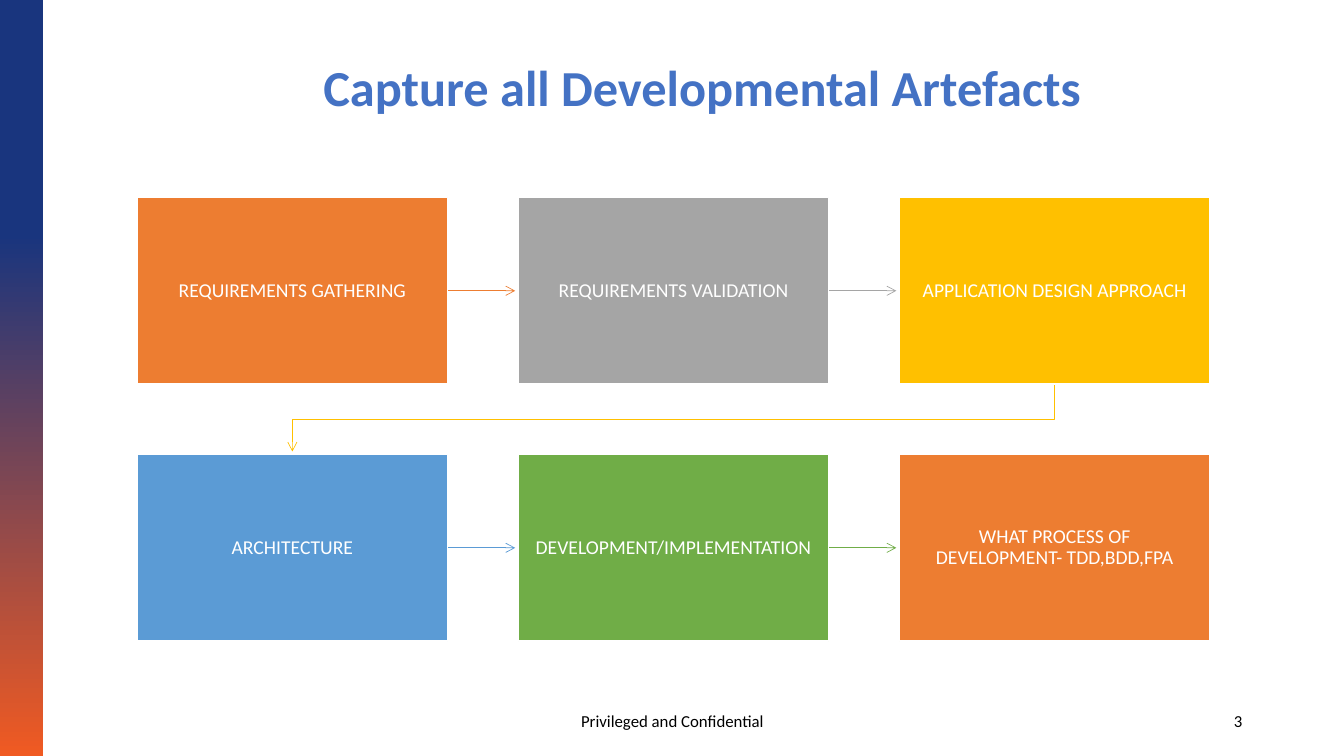
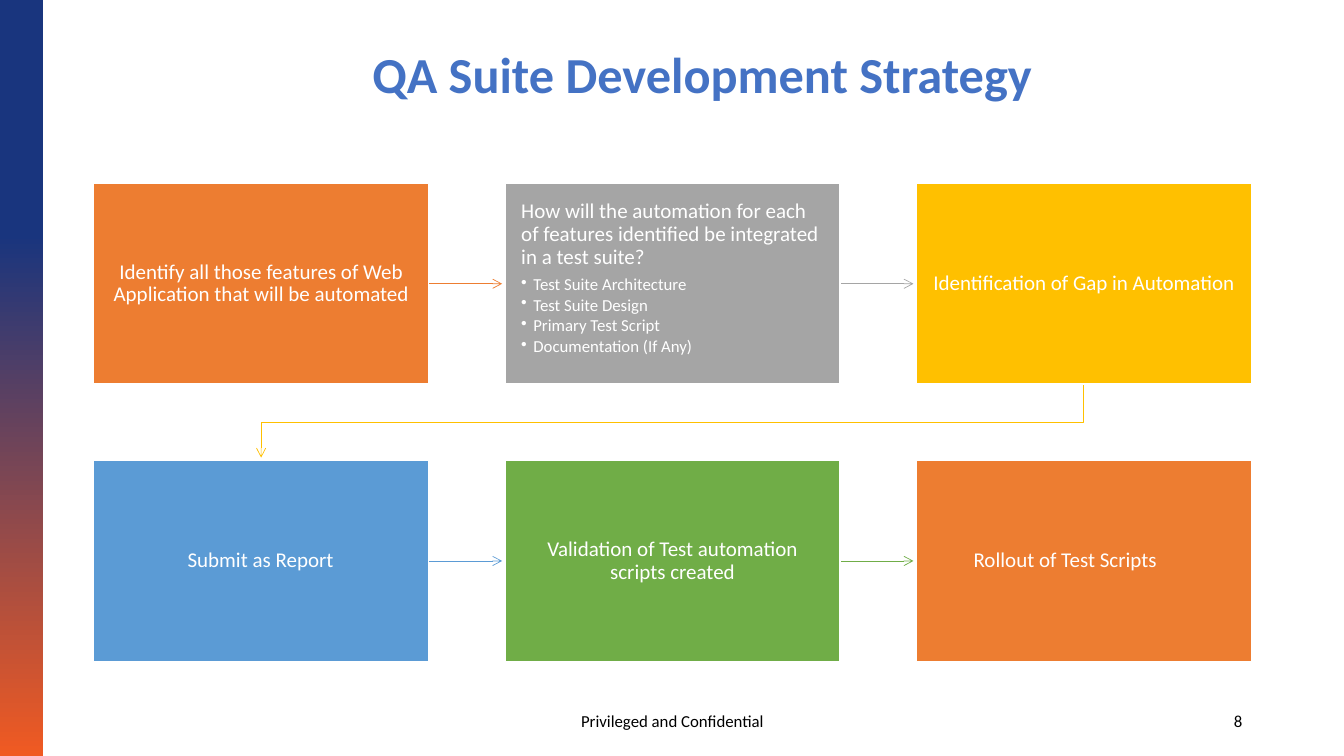
from dataclasses import dataclass

import pptx
import pptx.dml.color
import pptx.enum.shapes
import pptx.enum.text
import pptx.oxml.ns
import pptx.util
from lxml import etree
from pptx.util import Inches

# Shared look
FONT = "Calibri"
WHITE, BLACK, TITLE_BLUE = "FFFFFF", "000000", "4472C4"
BAND_TOP, BAND_BOTTOM = "19357E", "F05A22"
STEP_COLOURS = ["ED7D31", "A5A5A5", "FFC000", "5B9BD5", "70AD47", "ED7D31"]
FOOTER = "Privileged and Confidential"
COLUMNS = 3
ARROW_CLEARANCE = 0.03
TAB_WIDTH = 0.73

ALIGN = pptx.enum.text.PP_ALIGN
ANCHOR = pptx.enum.text.MSO_ANCHOR
RECTANGLE = pptx.enum.shapes.MSO_SHAPE.RECTANGLE
STRAIGHT = pptx.enum.shapes.MSO_CONNECTOR.STRAIGHT
qn = pptx.oxml.ns.qn


@dataclass
class Step:
    text: str
    bullets: tuple[str, ...] = ()


@dataclass
class Flow:
    """A three-column grid of boxes, read row by row."""
    left: float
    top: float
    width: float
    height: float
    gap: float
    size: float
    inset: float
    steps: list[Step]

    def corner(self, index: int) -> tuple[float, float]:
        row, column = divmod(index, COLUMNS)
        return (self.left + column * (self.width + self.gap),
                self.top + row * (self.height + self.gap))


@dataclass
class Page:
    title: str
    title_top: float
    title_height: float
    number: str
    flow: Flow


def rgb(colour: str) -> pptx.dml.color.RGBColor:
    return pptx.dml.color.RGBColor.from_string(colour)


# Text
def add_run(paragraph, text: str, size: float, colour: str, bold: bool = False) -> None:
    run = paragraph.add_run()
    run.text = text
    run.font.name = FONT
    run.font.size = pptx.util.Pt(size)
    run.font.bold = bold
    run.font.color.rgb = rgb(colour)


def set_frame(frame, anchor, left: float = 0.1, right: float = 0.1, vertical: float = 0.05) -> None:
    frame.word_wrap = True
    frame.vertical_anchor = anchor
    frame.margin_left, frame.margin_right = Inches(left), Inches(right)
    frame.margin_top = frame.margin_bottom = Inches(vertical)


def add_label(slide, left: float, top: float, width: float, height: float, text: str,
              size: float, colour: str, align, bold: bool = False,
              inset_left: float = 0.1, spacing: float = 1.0) -> None:
    box = slide.shapes.add_textbox(Inches(left), Inches(top), Inches(width), Inches(height))
    set_frame(box.text_frame, ANCHOR.MIDDLE, left=inset_left)
    paragraph = box.text_frame.paragraphs[0]
    paragraph.alignment = align
    paragraph.line_spacing = spacing
    add_run(paragraph, text, size, colour, bold)


def make_bullet(paragraph) -> None:
    paragraph.level = 1
    properties = paragraph._p.get_or_add_pPr()
    properties.set("marL", str(Inches(0.12)))
    properties.set("indent", str(Inches(-0.12)))
    etree.SubElement(properties, qn("a:buChar")).set("char", "•")


# Arrows
def style_arrow(shape, colour: str) -> None:
    shape.line.color.rgb = rgb(colour)
    shape.line.width = pptx.util.Pt(0.5)
    properties = shape.element.spPr
    etree.SubElement(properties.find(qn("a:ln")), qn("a:tailEnd")).set("type", "arrow")
    etree.SubElement(properties, qn("a:effectLst"))


def add_arrow(slide, flow: Flow, index: int) -> None:
    left, top = flow.corner(index)
    if (index + 1) % COLUMNS:
        start = left + flow.width
        middle = Inches(top + flow.height / 2)
        arrow = slide.shapes.add_connector(
            STRAIGHT, Inches(start), middle,
            Inches(start + flow.gap - ARROW_CLEARANCE), middle)
    else:
        # Turn down to the first box of the next row
        next_left, next_top = flow.corner(index + 1)
        start_x, end_x = Inches(left + flow.width / 2), Inches(next_left + flow.width / 2)
        turn_y = Inches(next_top - flow.gap / 2)
        builder = slide.shapes.build_freeform(start_x, Inches(top + flow.height))
        builder.add_line_segments(
            [(start_x, turn_y), (end_x, turn_y), (end_x, Inches(next_top - ARROW_CLEARANCE))],
            close=False)
        arrow = builder.convert_to_shape()
        arrow.fill.background()
    style_arrow(arrow, STEP_COLOURS[index])


# Boxes
def add_step(slide, flow: Flow, index: int) -> None:
    step = flow.steps[index]
    left, top = flow.corner(index)
    box = slide.shapes.add_shape(RECTANGLE, Inches(left), Inches(top),
                                 Inches(flow.width), Inches(flow.height))
    box.shadow.inherit = False
    box.fill.solid()
    box.fill.fore_color.rgb = rgb(STEP_COLOURS[index])
    box.line.color.rgb = rgb(WHITE)
    box.line.width = pptx.util.Pt(1)

    frame = box.text_frame
    set_frame(frame, ANCHOR.TOP if step.bullets else ANCHOR.MIDDLE,
              flow.inset, flow.inset, flow.inset + 0.01)
    heading = frame.paragraphs[0]
    heading.alignment = ALIGN.LEFT if step.bullets else ALIGN.CENTER
    heading.line_spacing = 0.9
    heading.space_after = pptx.util.Pt(0.35 * flow.size)
    heading._p.get_or_add_pPr().set("defTabSz", str(Inches(TAB_WIDTH)))
    add_run(heading, step.text, flow.size, WHITE)
    for text in step.bullets:
        paragraph = frame.add_paragraph()
        paragraph.alignment = ALIGN.LEFT
        paragraph.line_spacing = 0.9
        paragraph.space_after = pptx.util.Pt(1.8)
        make_bullet(paragraph)
        add_run(paragraph, text, 12, WHITE)


# Slides
def add_band(slide) -> None:
    band = slide.shapes.add_shape(RECTANGLE, 0, 0, Inches(0.43), Inches(7.5))
    band.shadow.inherit = False
    band.line.fill.background()
    band.fill.gradient()
    band.fill.gradient_angle = 270
    stops = zip(band.fill.gradient_stops, [(0.31, BAND_TOP), (1.0, BAND_BOTTOM)])
    for stop, (position, colour) in stops:
        stop.position = position
        stop.color.rgb = rgb(colour)


def add_page(presentation, page: Page) -> None:
    slide = presentation.slides.add_slide(presentation.slide_layouts[6])
    add_band(slide)
    add_label(slide, 0, page.title_top, 13.33, page.title_height, page.title, 36,
              TITLE_BLUE, ALIGN.CENTER, bold=True, inset_left=0.7, spacing=0.9)
    add_label(slide, 4.42, 6.95, 4.5, 0.4, FOOTER, 12, BLACK, ALIGN.CENTER)
    add_label(slide, 9.42, 6.95, 3, 0.4, page.number, 12, BLACK, ALIGN.RIGHT)
    for index in range(len(page.flow.steps)):
        if index + 1 < len(page.flow.steps):
            add_arrow(slide, page.flow, index)
        add_step(slide, page.flow, index)


PAGES = [
    Page("Capture all Developmental Artefacts", 0.45, 0.88, "3",
         Flow(1.36, 1.96, 3.08, 1.85, 0.7, 14, 0.15, [
             Step("REQUIREMENTS GATHERING"),
             Step("REQUIREMENTS VALIDATION"),
             Step("APPLICATION DESIGN APPROACH"),
             Step("ARCHITECTURE"),
             Step("DEVELOPMENT/IMPLEMENTATION"),
             Step("WHAT PROCESS OF DEVELOPMENT- TDD,BDD,FPA"),
         ])),
    Page("QA Suite Development Strategy", 0.36, 0.81, "8",
         Flow(0.93, 1.82, 3.32, 1.99, 0.76, 15, 0.16, [
             Step("Identify all those features of Web Application that will be automated"),
             Step("How will the automation for each of features identified be "
                  "integrated in a test suite?",
                  ("Test Suite Architecture", "Test Suite Design",
                   "Primary Test Script", "Documentation (If Any)")),
             Step("Identification of Gap in Automation "),
             Step("Submit as Report\t"),
             Step("Validation of Test automation scripts created"),
             Step("Rollout of Test Scripts\t"),
         ])),
]


def main() -> None:
    presentation = pptx.Presentation()
    presentation.slide_width, presentation.slide_height = Inches(13.33), Inches(7.5)
    for page in PAGES:
        add_page(presentation, page)
    presentation.save("out.pptx")


if __name__ == "__main__":
    main()
